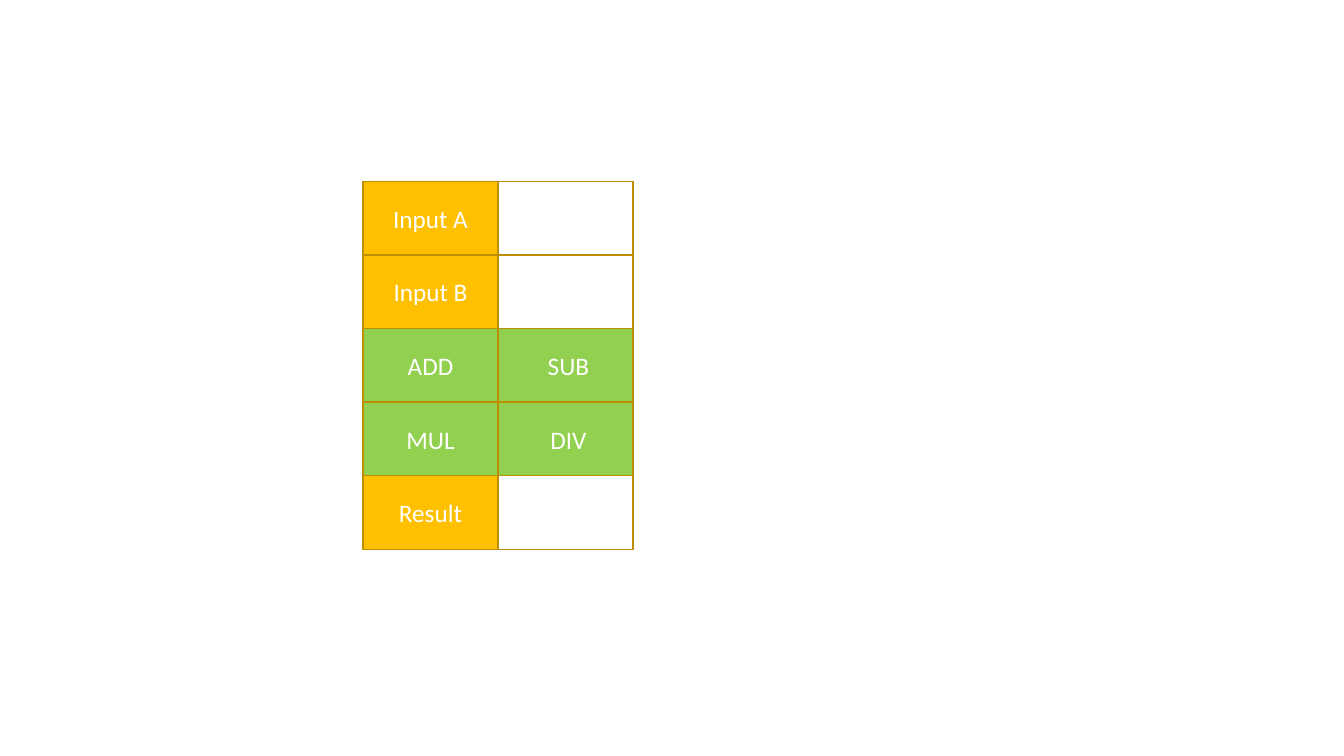
from pptx import Presentation
from pptx.dml.color import RGBColor
from pptx.enum.shapes import MSO_SHAPE
from pptx.enum.text import MSO_ANCHOR, PP_ALIGN
from pptx.util import Inches, Pt

RECTANGLE = MSO_SHAPE.RECTANGLE
MIDDLE = MSO_ANCHOR.MIDDLE
CENTER = PP_ALIGN.CENTER

# Calculator grid, in inches
LEFT, TOP = 3.6, 1.8
KEY_WIDTH, KEY_HEIGHT = 1.34, 0.73

AMBER, GREEN, BORDER, WHITE = "FFC000", "92D050", "BD8E00", "FFFFFF"

# Each row holds (label, fill) pairs; a value field has neither
FIELD = ("", None)
CALCULATOR = [
    [("Input A", AMBER), FIELD],
    [("Input B", AMBER), FIELD],
    [("ADD", GREEN), (" SUB", GREEN)],
    [("MUL", GREEN), (" DIV", GREEN)],
    [("Result", AMBER), FIELD],
]


def color(hex_code):
    return RGBColor.from_string(hex_code)


def add_label(key, label):
    frame = key.text_frame
    frame.word_wrap = True
    frame.vertical_anchor = MIDDLE
    paragraph = frame.paragraphs[0]
    paragraph.alignment = CENTER
    run = paragraph.add_run()
    run.text = label
    run.font.name = "Calibri"
    run.font.size = Pt(18)
    run.font.color.rgb = color(WHITE)


def add_key(slide, column, row, label, fill):
    key = slide.shapes.add_shape(
        RECTANGLE,
        Inches(LEFT + column * KEY_WIDTH), Inches(TOP + row * KEY_HEIGHT),
        Inches(KEY_WIDTH), Inches(KEY_HEIGHT))
    key.shadow.inherit = False
    key.line.color.rgb = color(BORDER)
    key.line.width = Pt(1)
    if fill:
        key.fill.solid()
        key.fill.fore_color.rgb = color(fill)
    else:
        key.fill.background()
    if label:
        add_label(key, label)


def main():
    deck = Presentation()
    deck.slide_width, deck.slide_height = Inches(13.33), Inches(7.5)
    slide = deck.slides.add_slide(deck.slide_layouts[6])

    # Inputs, operations and result, row by row
    for row, keys in enumerate(CALCULATOR):
        for column, (label, fill) in enumerate(keys):
            add_key(slide, column, row, label, fill)

    deck.save("out.pptx")


main()
